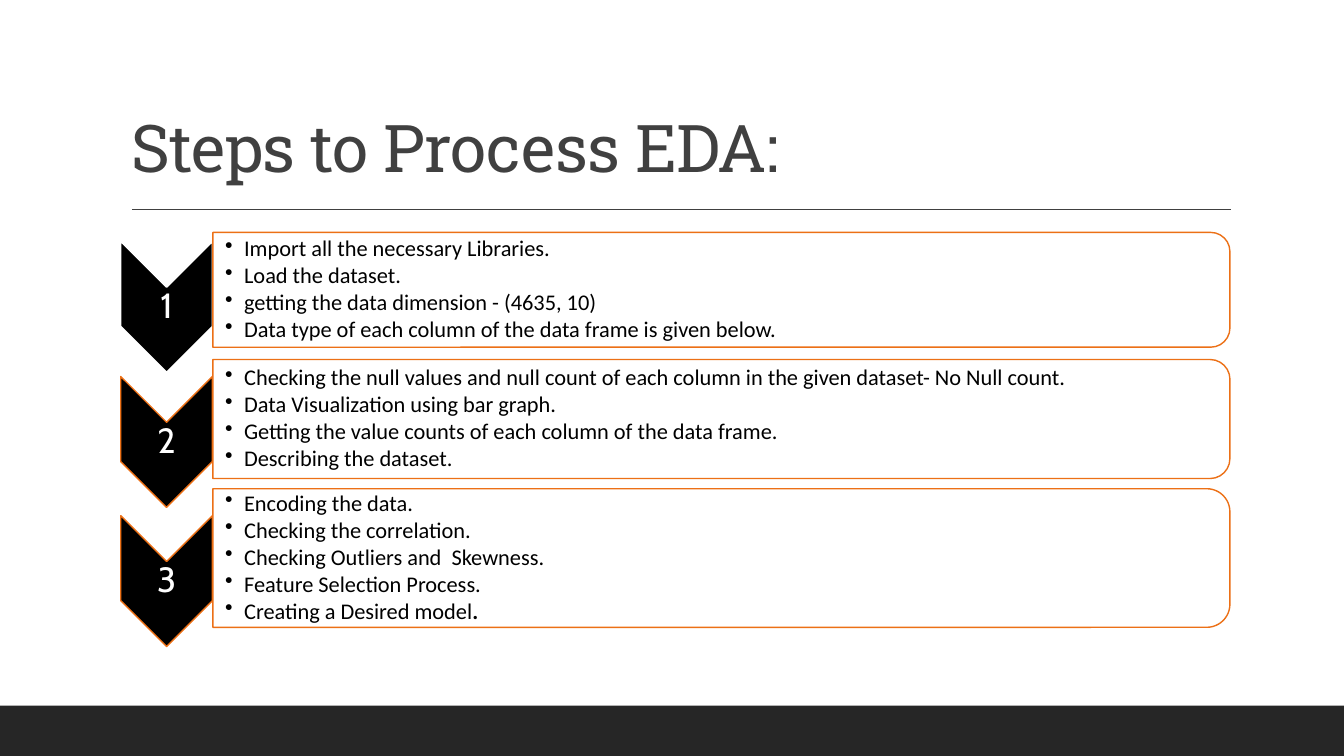
from dataclasses import dataclass

from lxml import etree
from pptx import Presentation
from pptx import util as u
from pptx.dml.color import RGBColor
from pptx.enum import shapes, text
from pptx.oxml.ns import qn

Pt = u.Pt


@dataclass(frozen=True)
class Theme:
    ink: str = "000000"
    paper: str = "FFFFFF"
    accent: str = "EC7016"
    heading: str = "404040"
    footer: str = "262626"
    title_size: float = 47
    number_size: float = 25
    body_size: float = 16


theme = Theme()


def style_span(span, font, size, color, bold=False):
    span.font.name = font
    span.font.size = Pt(size)
    span.font.bold = bold
    span.font.color.rgb = RGBColor.from_string(color)


def add_block(page, preset, center_x, center_y, width, height, fill, line=None, rotation=0):
    block = page.shapes.add_shape(
        preset, Pt(center_x - width / 2), Pt(center_y - height / 2), Pt(width), Pt(height))
    block.rotation = rotation
    block.shadow.inherit = False
    block.fill.solid()
    block.fill.fore_color.rgb = RGBColor.from_string(fill)
    if line:
        block.line.color.rgb = RGBColor.from_string(line)
        block.line.width = Pt(1)
    else:
        block.line.fill.background()
    return block


deck = Presentation()
deck.slide_width, deck.slide_height = Pt(960), Pt(540)
page = deck.slides.add_slide(deck.slide_layouts[5])

# Footer band
add_block(page, shapes.MSO_SHAPE.RECTANGLE, 480, 522, 960, 36, theme.footer)

# Title and rule
title = page.shapes.title
title.left, title.top, title.width, title.height = Pt(86.4), Pt(22.3), Pt(792), Pt(114.5)
title.text_frame.text = "Steps to Process EDA:"
title.text_frame.auto_size = text.MSO_AUTO_SIZE.NONE
title.text_frame.vertical_anchor = text.MSO_ANCHOR.BOTTOM
para = title.text_frame.paragraphs[0]
para.alignment = text.PP_ALIGN.LEFT
para.line_spacing = 0.9
style_span(para.runs[0], "Roboto Slab", theme.title_size, theme.heading)
para.runs[0].font._element.set("spc", "-50")

rule = page.shapes.add_connector(
    shapes.MSO_CONNECTOR.STRAIGHT, Pt(94.3), Pt(149.5), Pt(879), Pt(149.5))
rule.line.color.rgb = RGBColor.from_string(theme.heading)
rule.line.width = Pt(1)
etree.SubElement(rule._element.spPr, qn("a:effectLst"))

# Steps: chevron centre, chevron outline, card centre, card height, lines
steps = [
    (219.2, theme.paper, 207, 82, [
        "Import all the necessary Libraries.",
        "Load the dataset.",
        "getting the data dimension - (4635, 10)",
        "Data type of each column of the data frame is given below."]),
    (315.7, theme.accent, 299.3, 85, [
        "Checking the null values and null count of each column in the given dataset- No Null count.",
        "Data Visualization using bar graph.",
        "Getting the value counts of each column of the data frame.",
        "Describing the dataset."]),
    (415.1, theme.accent, 398.6, 99, [
        "Encoding the data.",
        "Checking the correlation.",
        "Checking Outliers and  Skewness.",
        "Feature Selection Process.",
        "Creating a Desired model"]),
]
chevron_x, chevron_width, chevron_length = 119, 65.5, 93.5
card_left, card_width = 152, 726.5

for number, (chevron_y, outline, card_y, card_height, lines) in enumerate(steps, 1):
    # Chevron pointing down, with its number
    add_block(page, shapes.MSO_SHAPE.CHEVRON, chevron_x, chevron_y,
              chevron_length, chevron_width, theme.ink, outline, 90)
    label = page.shapes.add_textbox(
        Pt(chevron_x - chevron_width / 2), Pt(chevron_y - 14), Pt(chevron_width), Pt(28))
    frame = label.text_frame
    frame.word_wrap = True
    frame.vertical_anchor = text.MSO_ANCHOR.MIDDLE
    frame.margin_left = frame.margin_right = frame.margin_top = frame.margin_bottom = Pt(1.25)
    frame.text = str(number)
    para = frame.paragraphs[0]
    para.alignment = text.PP_ALIGN.CENTER
    para.line_spacing = 0.9
    style_span(para.runs[0], "Cabin", theme.number_size, theme.paper)

    # Card rounded on the right
    card = add_block(page, shapes.MSO_SHAPE.ROUND_2_SAME_RECTANGLE,
                     card_left + card_width / 2, card_y, card_height, card_width,
                     theme.paper, theme.accent, 90)
    color = card._element.spPr.find(qn("a:solidFill"))[0]
    etree.SubElement(color, qn("a:alpha"), val="90000")

    # Bulleted lines
    box = page.shapes.add_textbox(
        Pt(card_left), Pt(card_y - card_height / 2 + 4), Pt(722), Pt(card_height - 8))
    frame = box.text_frame
    frame.word_wrap = True
    frame.vertical_anchor = text.MSO_ANCHOR.MIDDLE
    frame.margin_left = Pt(8.9)
    frame.margin_right = frame.margin_top = frame.margin_bottom = Pt(0.8)
    frame.text = "\n".join(lines)
    for para in frame.paragraphs:
        para.level = 1
        para.line_spacing = 0.9
        para.space_after = Pt(2)
        style_span(para.runs[0], "Calibri", theme.body_size, theme.ink)
        properties = para._p.get_or_add_pPr()
        properties.set("marL", str(Pt(13.5)))
        properties.set("indent", str(-Pt(13.5)))
        etree.SubElement(properties, qn("a:buChar"), char="•")

# Bold full stop closing the last step
stop = para.add_run()
stop.text = "."
style_span(stop, "Calibri", theme.body_size, theme.ink, bold=True)

deck.save("out.pptx")
